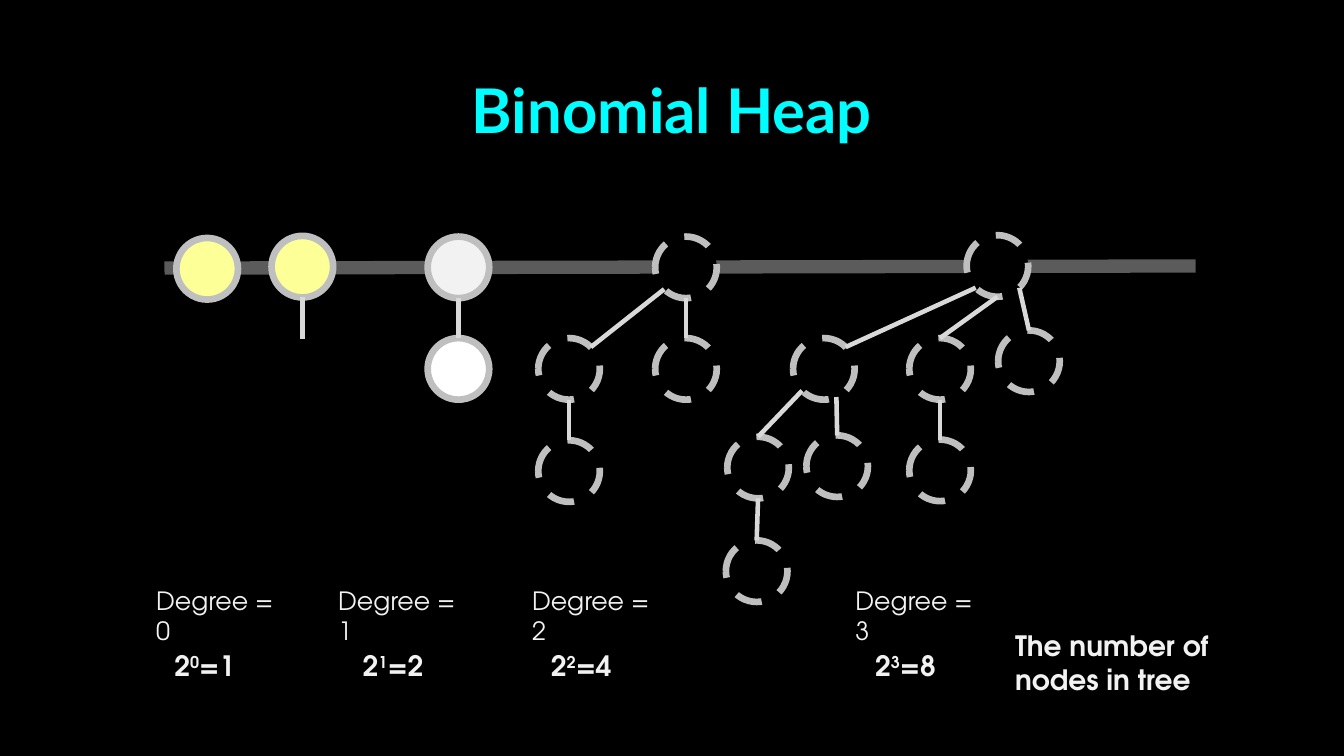
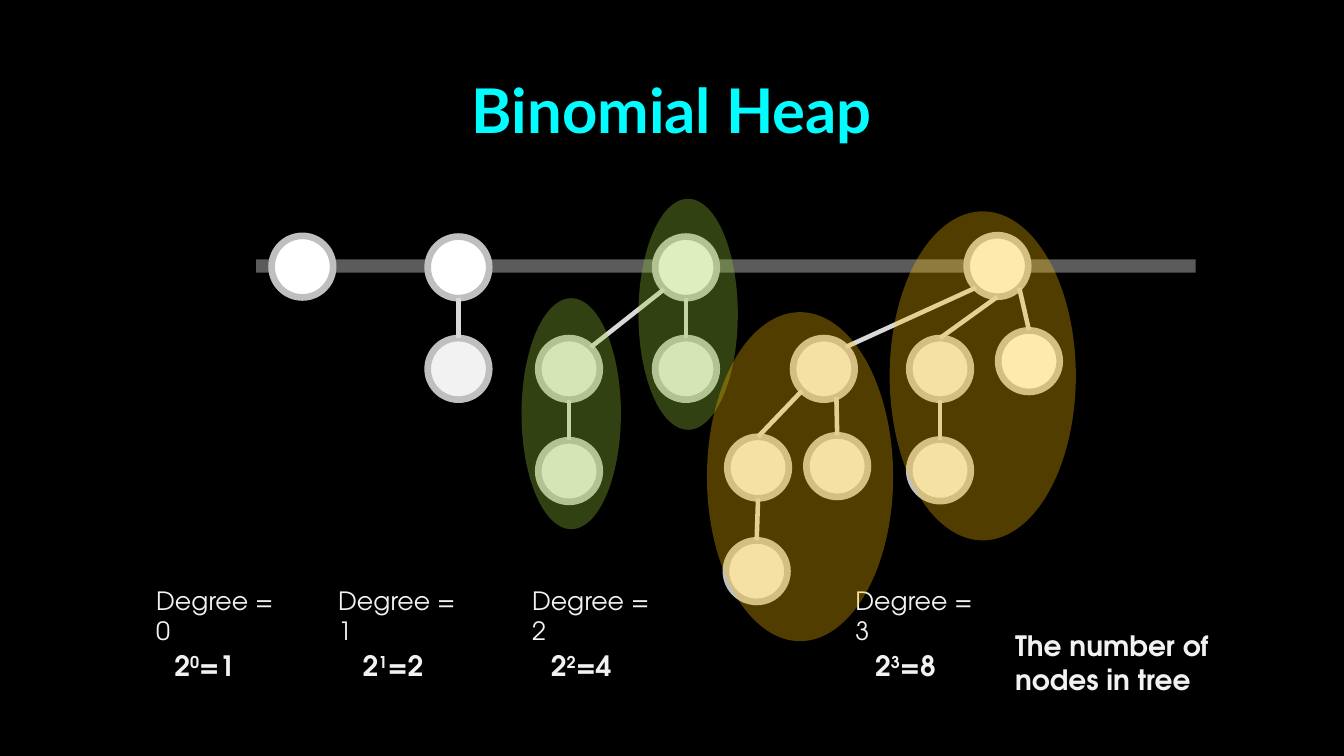
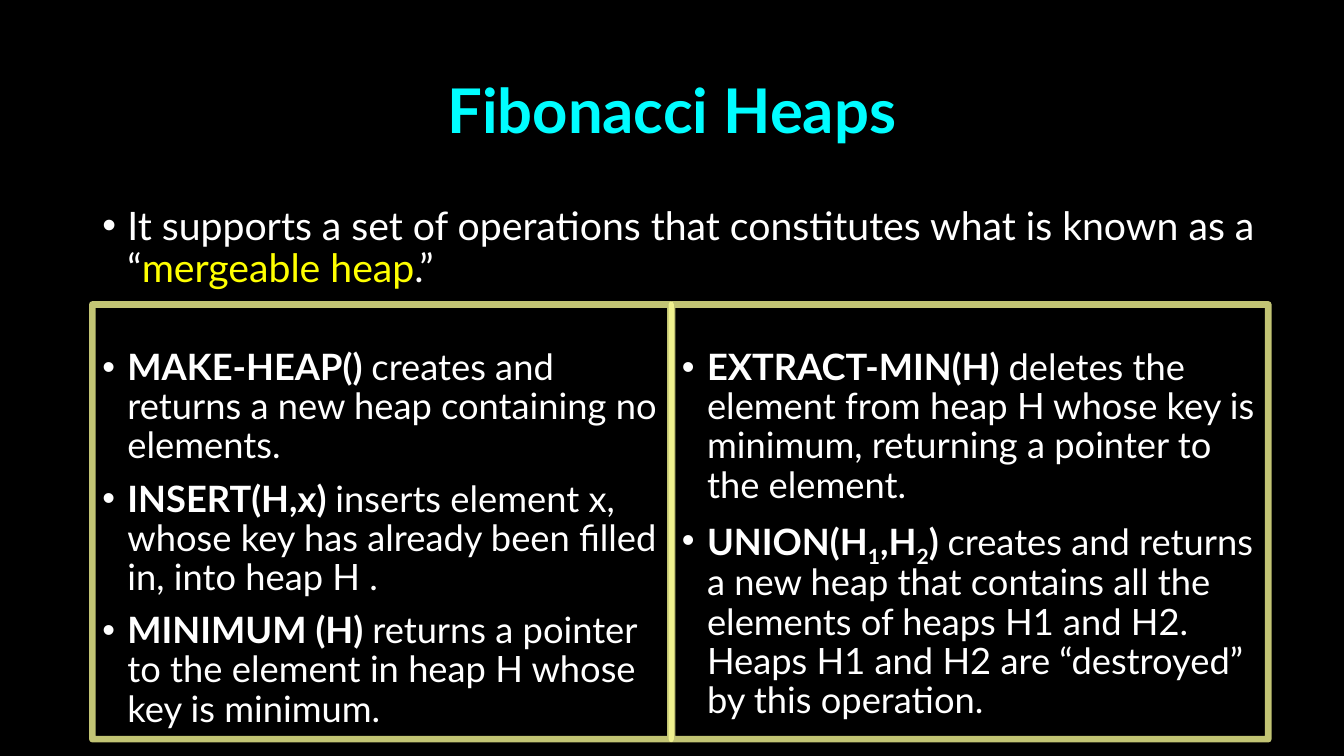
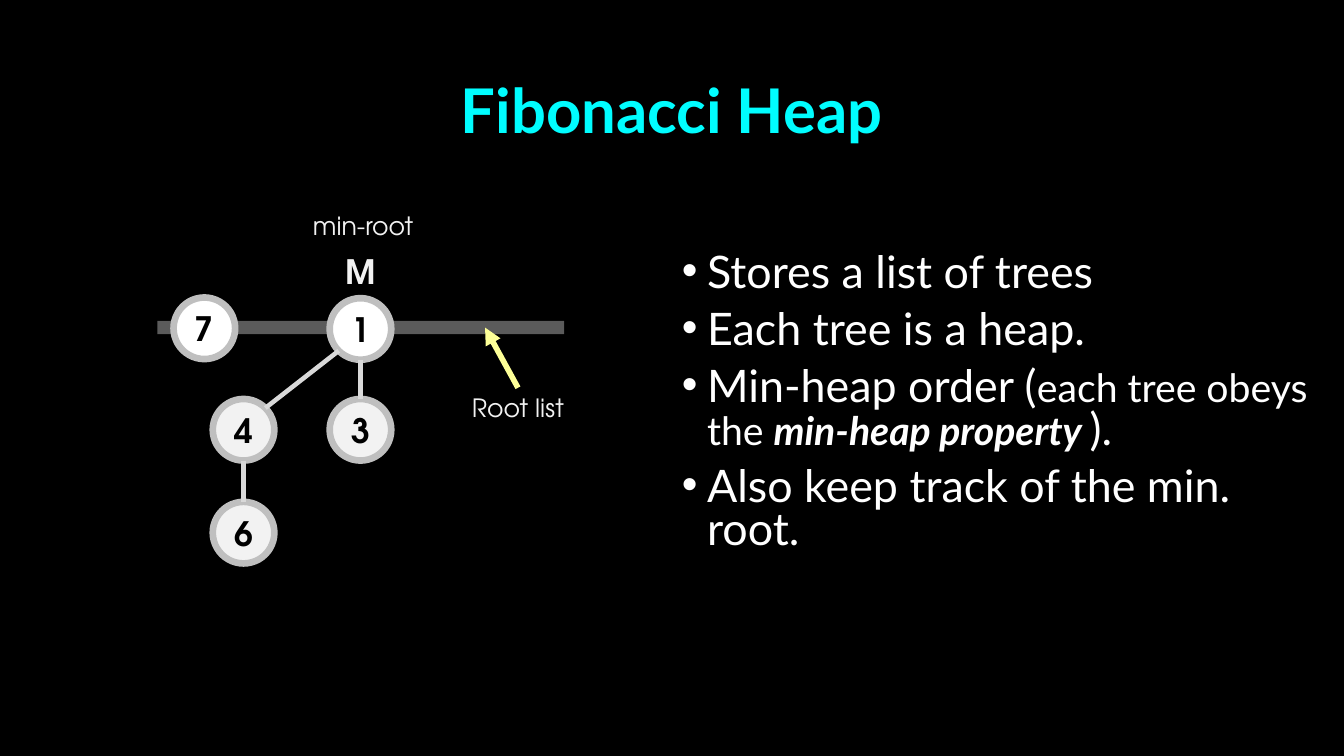
"""Builds four slides on binomial and Fibonacci heaps."""
from dataclasses import dataclass, replace
from math import cos, radians, sin
from typing import Optional

from lxml import etree
from pptx import Presentation
from pptx.dml.color import RGBColor
from pptx.enum import dml, shapes, text
from pptx.oxml import ns
from pptx.util import Pt

BLACK, WHITE, PALE, CYAN = "000000", "FFFFFF", "F2F2F2", "00FDFF"
RING, EDGE, CREAM, YELLOW = "BFBFBF", "D9D9D9", "FDFF97", "FFFF00"
GREEN, AMBER = "99CB38", "FFC000"
BODY_FONT, LABEL_FONT = "Lato", "TeX Gyre Adventor"
DIAMETER = 44
TOP, TOP_RIGHT, BOTTOM_RIGHT, BOTTOM, BOTTOM_LEFT = 270, 315, 45, 90, 135
CENTER = text.PP_ALIGN.CENTER

Point = tuple[float, float]


@dataclass(frozen=True)
class Area:
    left: float
    top: float
    width: float
    height: float


@dataclass(frozen=True)
class Node:
    left: float
    top: float
    fill: str = PALE
    label: str = ""
    dashed: bool = False

    def rim(self, angle: float) -> Point:
        """Return the point of the rim at a clockwise angle from the right."""
        radius, turn = DIAMETER / 2, radians(angle)
        return (self.left + radius + radius * cos(turn),
                self.top + radius + radius * sin(turn))


@dataclass(frozen=True)
class Edge:
    parent: str
    child: str
    leave: float = BOTTOM
    arrive: float = TOP


@dataclass(frozen=True)
class Span:
    text: str
    bold: Optional[bool] = None
    italic: Optional[bool] = None
    size: Optional[float] = None
    color: Optional[str] = None
    baseline: int = 0


@dataclass(frozen=True)
class Style:
    font: str
    size: float
    color: str
    bold: bool = False
    align: Optional[text.PP_ALIGN] = None
    line_spacing: Optional[float] = None
    bulleted: bool = False


TITLE = Style(BODY_FONT, 44, CYAN, bold=True, align=CENTER, line_spacing=0.9)
LABEL = Style(LABEL_FONT, 18, PALE)
STRONG_LABEL = Style(LABEL_FONT, 20, PALE, bold=True)
MARKER = Style(LABEL_FONT, 24, PALE, bold=True)
NODE_LABEL = Style(LABEL_FONT, 24, BLACK, bold=True, align=CENTER)
LEAD = Style(BODY_FONT, 28, WHITE, line_spacing=0.9, bulleted=True)
OPERATION = replace(LEAD, size=25.9)
POINTS = replace(LEAD, size=32, line_spacing=0.8)

SINGLE = Node(194, 168.5, WHITE)
PAIR = {"root": Node(305.5, 169, WHITE), "leaf": Node(305.5, 241.5)}
PAIR_EDGES = [Edge("root", "leaf")]
TREES = {
    "four": Node(468, 169, WHITE),
    "four left": Node(384.5, 241.5),
    "four leaf": Node(384.5, 314.5),
    "four right": Node(468, 241.5),
    "eight": Node(690.5, 168, WHITE),
    "eight left": Node(566.5, 241.5),
    "eight middle": Node(649.5, 241.5),
    "eight right": Node(713, 236, WHITE),
    "left pair": Node(519.5, 312),
    "left leaf": Node(576, 311),
    "middle leaf": Node(649.5, 314),
    "deep leaf": Node(518.5, 386),
}
TREE_EDGES = [
    Edge("four", "four left", BOTTOM_LEFT, TOP_RIGHT),
    Edge("four", "four right"),
    Edge("four left", "four leaf"),
    Edge("eight", "eight left", BOTTOM_LEFT, TOP_RIGHT),
    Edge("eight", "eight middle"),
    Edge("eight", "eight right", BOTTOM_RIGHT),
    Edge("eight left", "left pair", BOTTOM_LEFT),
    Edge("eight left", "left leaf", 66),
    Edge("eight middle", "middle leaf"),
    Edge("left pair", "deep leaf"),
]
FIBONACCI = {
    "4": Node(152, 285, label="4"),
    "1": Node(235.5, 213, WHITE, "1"),
    "7": Node(124, 212.5, WHITE, "7"),
    "6": Node(152, 358.5, label="6"),
    "3": Node(235.5, 285, label="3"),
}
FIBONACCI_EDGES = [
    Edge("1", "4", BOTTOM_LEFT, TOP_RIGHT), Edge("1", "3"), Edge("4", "6")]
DEGREE_LEFTS = (104.5, 234.5, 373, 604)
COUNT_LEFTS = (117.5, 252, 386.5, 618)
HIGHLIGHTS = [
    (Area(372.5, 213, 71, 165), GREEN),
    (Area(456, 142, 71, 165), GREEN),
    (Area(505, 223, 133, 235), AMBER),
    (Area(635.5, 151, 133, 235), AMBER),
]


def rgb(color: str) -> RGBColor:
    """Turn a hex string into a colour."""
    return RGBColor.from_string(color)


def paint(fill, color: str) -> None:
    """Make a fill solid."""
    fill.solid()
    fill.fore_color.rgb = rgb(color)


def set_opacity(shape, percent: int) -> None:
    """Make the colours of a shape partly transparent."""
    for color in shape._element.spPr.iter(ns.qn("a:srgbClr")):
        etree.SubElement(color, ns.qn("a:alpha"), val=str(percent * 1000))


def add_bullet(para) -> None:
    """Give a paragraph a hanging bullet."""
    properties = para._p.get_or_add_pPr()
    properties.set("marL", str(Pt(18)))
    properties.set("indent", str(-Pt(18)))
    etree.SubElement(properties, ns.qn("a:buFont"), typeface="Arial")
    etree.SubElement(properties, ns.qn("a:buChar"), char="•")


def add_span(para, span: Span) -> None:
    """Add a run and set only what differs from its paragraph."""
    run = para.add_run()
    run.text = span.text
    if span.bold is not None:
        run.font.bold = span.bold
    if span.italic is not None:
        run.font.italic = span.italic
    if span.size:
        run.font.size = Pt(span.size)
    if span.color:
        run.font.color.rgb = rgb(span.color)
    if span.baseline:
        run._r.get_or_add_rPr().set("baseline", str(span.baseline * 1000))


def write(frame, paragraphs: list[list[Span]], style: Style) -> None:
    """Fill a text frame with paragraphs of one style."""
    frame.word_wrap = True
    frame.auto_size = text.MSO_AUTO_SIZE.NONE
    for index, spans in enumerate(paragraphs):
        para = frame.add_paragraph() if index else frame.paragraphs[0]
        if style.bulleted:
            add_bullet(para)
        if style.align is not None:
            para.alignment = style.align
        if style.line_spacing:
            para.line_spacing = style.line_spacing
        if index:
            para.space_before = Pt(10)
        para.font.name = style.font
        para.font.size = Pt(style.size)
        para.font.bold = style.bold
        para.font.color.rgb = rgb(style.color)
        for span in spans:
            add_span(para, span)


def place(shape, area: Area) -> None:
    """Move and size a shape."""
    shape.left, shape.top = Pt(area.left), Pt(area.top)
    shape.width, shape.height = Pt(area.width), Pt(area.height)


def add_page(deck, title: str):
    """Add a black slide with its title."""
    page = deck.slides.add_slide(deck.slide_layouts[5])
    paint(page.background.fill, BLACK)
    box = page.shapes.title
    place(box, Area(66, 29, 828, 104.5))
    box.text_frame.vertical_anchor = text.MSO_ANCHOR.MIDDLE
    write(box.text_frame, [[Span(title)]], TITLE)
    return page


def add_text(page, area: Area, paragraphs: list[list[Span]], style: Style) -> None:
    """Add a text box."""
    box = page.shapes.add_textbox(
        Pt(area.left), Pt(area.top), Pt(area.width), Pt(area.height))
    write(box.text_frame, paragraphs, style)


def add_preset(page, kind, area: Area, fill: Optional[str] = None,
               line: Optional[str] = None):
    """Add a flat preset shape."""
    shape = page.shapes.add_shape(
        kind, Pt(area.left), Pt(area.top), Pt(area.width), Pt(area.height))
    shape.shadow.inherit = False
    if fill:
        paint(shape.fill, fill)
    else:
        shape.fill.background()
    if line:
        paint(shape.line.fill, line)
        shape.line.width = Pt(4.75)
    else:
        shape.line.fill.background()
    return shape


def add_line(page, start: Point, end: Point, color: str = EDGE,
             width: float = 3.25, arrow: bool = False):
    """Add a straight line, with an arrowhead at its end on request."""
    line = page.shapes.add_connector(
        shapes.MSO_CONNECTOR.STRAIGHT, *(Pt(value) for value in start + end))
    paint(line.line.fill, color)
    line.line.width = Pt(width)
    if arrow:
        etree.SubElement(
            line.line._get_or_add_ln(), ns.qn("a:tailEnd"), type="triangle")
    etree.SubElement(line._element.spPr, ns.qn("a:effectLst"))
    return line


def add_root_list(page, start: Point, end: Point) -> None:
    """Add the thick bar that joins the roots."""
    set_opacity(add_line(page, start, end, RING, 9.5), 47)


def add_node(page, node: Node) -> None:
    """Add one tree node."""
    area = Area(node.left, node.top, DIAMETER, DIAMETER)
    circle = add_preset(page, shapes.MSO_SHAPE.OVAL, area, node.fill, RING)
    if node.dashed:
        circle.line.dash_style = dml.MSO_LINE.DASH
    if node.label:
        frame = circle.text_frame
        frame.margin_left = frame.margin_right = 0
        frame.margin_top = frame.margin_bottom = 0
        frame.vertical_anchor = text.MSO_ANCHOR.MIDDLE
        write(frame, [[Span(node.label)]], NODE_LABEL)


def add_trees(page, nodes: dict[str, Node], edges: list[Edge]) -> None:
    """Add nodes and the edges between them."""
    for node in nodes.values():
        add_node(page, node)
    for edge in edges:
        add_line(page, nodes[edge.parent].rim(edge.leave),
                 nodes[edge.child].rim(edge.arrive))


def add_degree_labels(page) -> None:
    """Add the degree and the node count below each tree."""
    for degree, (left, count_left) in enumerate(zip(DEGREE_LEFTS, COUNT_LEFTS)):
        add_text(page, Area(left, 414.5, 108, 50),
                 [[Span(f"Degree = {degree}")]], LABEL)
        count = [Span("2"), Span(str(degree), baseline=30),
                 Span(f"={2 ** degree}")]
        add_text(page, Area(count_left, 460, 77, 31.5), [count], STRONG_LABEL)
    add_text(page, Area(718, 445.5, 193, 55.5),
             [[Span("The number of nodes in tree")]], STRONG_LABEL)


def build_carry_slide(deck) -> None:
    """Show the heap with a new node and empty places."""
    page = add_page(deck, "Binomial Heap")
    add_root_list(page, (117.5, 191.5), (854, 190))
    outlines = {name: replace(node, fill=BLACK, dashed=True)
                for name, node in TREES.items()}
    pair = {"root": replace(PAIR["root"], fill=PALE),
            "leaf": replace(PAIR["leaf"], fill=WHITE)}
    add_trees(page, pair, PAIR_EDGES)
    add_trees(page, outlines, TREE_EDGES)
    merged = replace(SINGLE, fill=CREAM)
    add_node(page, merged)
    add_node(page, Node(126, 170, CREAM))
    add_line(page, merged.rim(BOTTOM), (216, 242))
    add_degree_labels(page)


def build_binomial_slide(deck) -> None:
    """Show the heap with the halves of its trees highlighted."""
    page = add_page(deck, "Binomial Heap")
    add_root_list(page, (183, 190), (854, 190))
    add_node(page, SINGLE)
    add_trees(page, PAIR, PAIR_EDGES)
    add_trees(page, TREES, TREE_EDGES)
    add_degree_labels(page)
    for area, color in HIGHLIGHTS:
        set_opacity(add_preset(page, shapes.MSO_SHAPE.OVAL, area, color), 32)


def build_operations_slide(deck) -> None:
    """List the operations of a mergeable heap in two framed columns."""
    page = add_page(deck, "Fibonacci Heaps")
    lead = [
        Span("It supports a set of operations that constitutes what is known as a “"),
        Span("mergeable heap", color=YELLOW), Span(".”")]
    add_text(page, Area(66, 144, 894, 73.5), [lead], LEAD)
    left_column = [
        [Span("MAKE-HEAP() ", bold=True),
         Span("creates and returns a new heap containing no elements.")],
        [Span("INSERT(H,x) ", bold=True),
         Span("inserts element x, whose key has already been filled in, "
              "into heap H .")],
        [Span("MINIMUM (H) ", bold=True),
         Span("returns a pointer to the element in heap H whose key is minimum.")],
    ]
    right_column = [
        [Span("EXTRACT-MIN(H) ", bold=True),
         Span("deletes the element from heap H whose key is minimum, "
              "returning a pointer to the element.")],
        [Span("UNION(H", bold=True), Span("1", bold=True, baseline=-25),
         Span(",H", bold=True), Span("2", bold=True, baseline=-25),
         Span(") ", bold=True),
         Span("creates and returns a new heap that contains all the elements "
              "of heaps H1 and H2. Heaps H1 and H2 are “destroyed” by this "
              "operation.")],
    ]
    for left, width, column in ((66, 413, left_column), (480, 426, right_column)):
        add_text(page, Area(left, 246, width, 282), column, OPERATION)
        frame = add_preset(page, shapes.MSO_SHAPE.RECTANGLE,
                           Area(left, 217.5, width, 310.5), line=CREAM)
        set_opacity(frame, 77)


def build_fibonacci_slide(deck) -> None:
    """Show a small Fibonacci heap beside its properties."""
    page = add_page(deck, "Fibonacci Heap")
    add_root_list(page, (112.5, 234), (403, 234))
    points = [
        [Span("Stores a list of trees")],
        [Span("Each tree is a heap.")],
        [Span("Min-heap order ("), Span("each tree obeys the ", size=28),
         Span("min-heap property ", bold=True, italic=True, size=28),
         Span(").")],
        [Span("Also keep track of the min. root.")],
    ]
    add_text(page, Area(480, 178, 465, 234), points, POINTS)
    add_trees(page, FIBONACCI, FIBONACCI_EDGES)
    add_text(page, Area(240, 175.5, 40, 36), [[Span("M")]], MARKER)
    add_text(page, Area(216.5, 147, 100, 29), [[Span("min-root")]], LABEL)
    add_text(page, Area(330, 277, 100, 29), [[Span("Root list")]], LABEL)
    add_line(page, (370, 277), (346.5, 234), CREAM, 4, arrow=True)


def main() -> None:
    """Build and save the deck."""
    deck = Presentation()
    deck.slide_width, deck.slide_height = Pt(960), Pt(540)
    build_carry_slide(deck)
    build_binomial_slide(deck)
    build_operations_slide(deck)
    build_fibonacci_slide(deck)
    deck.save("out.pptx")


if __name__ == "__main__":
    main()
